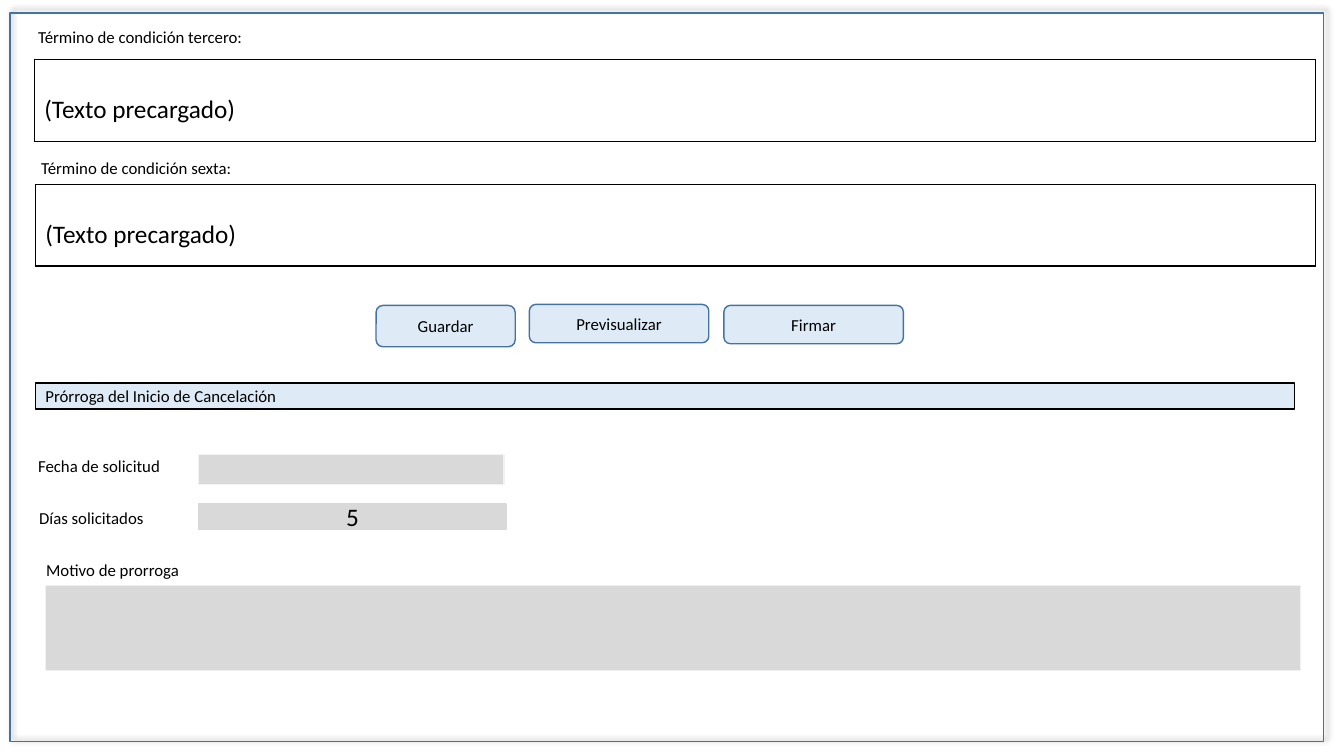
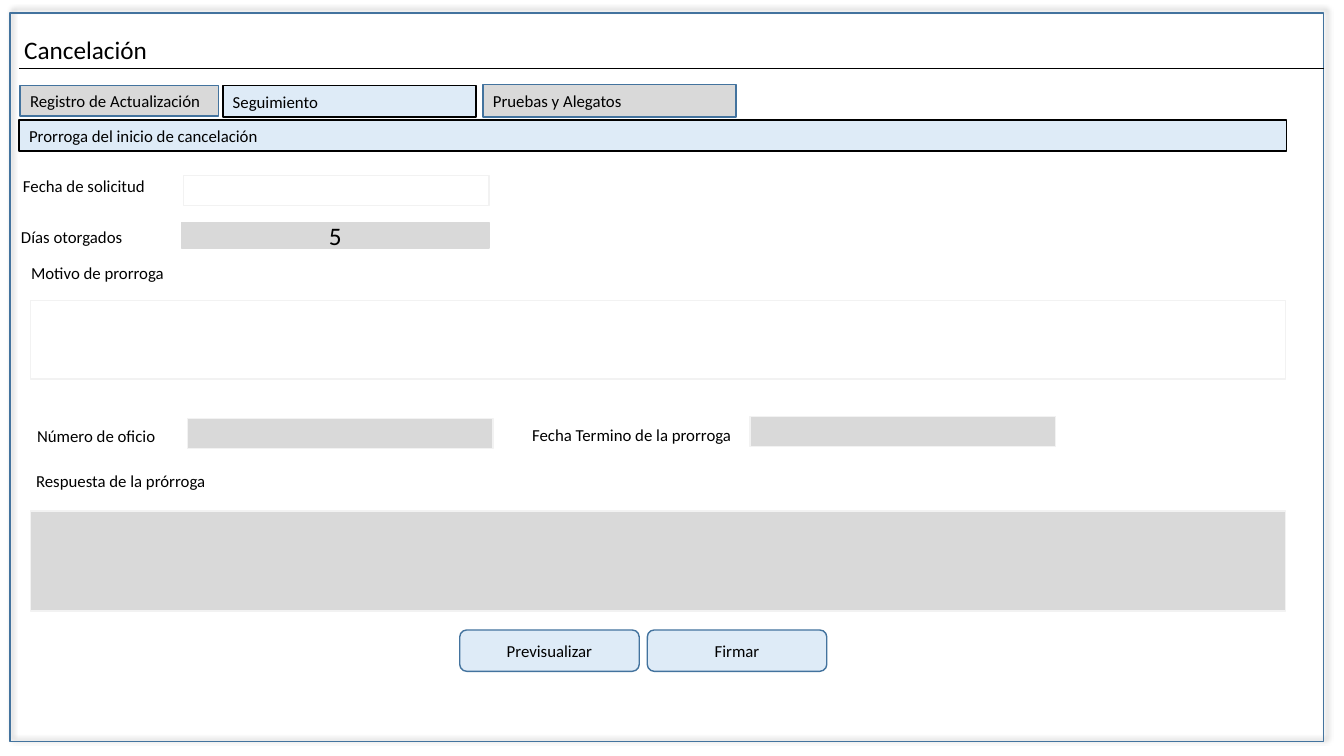
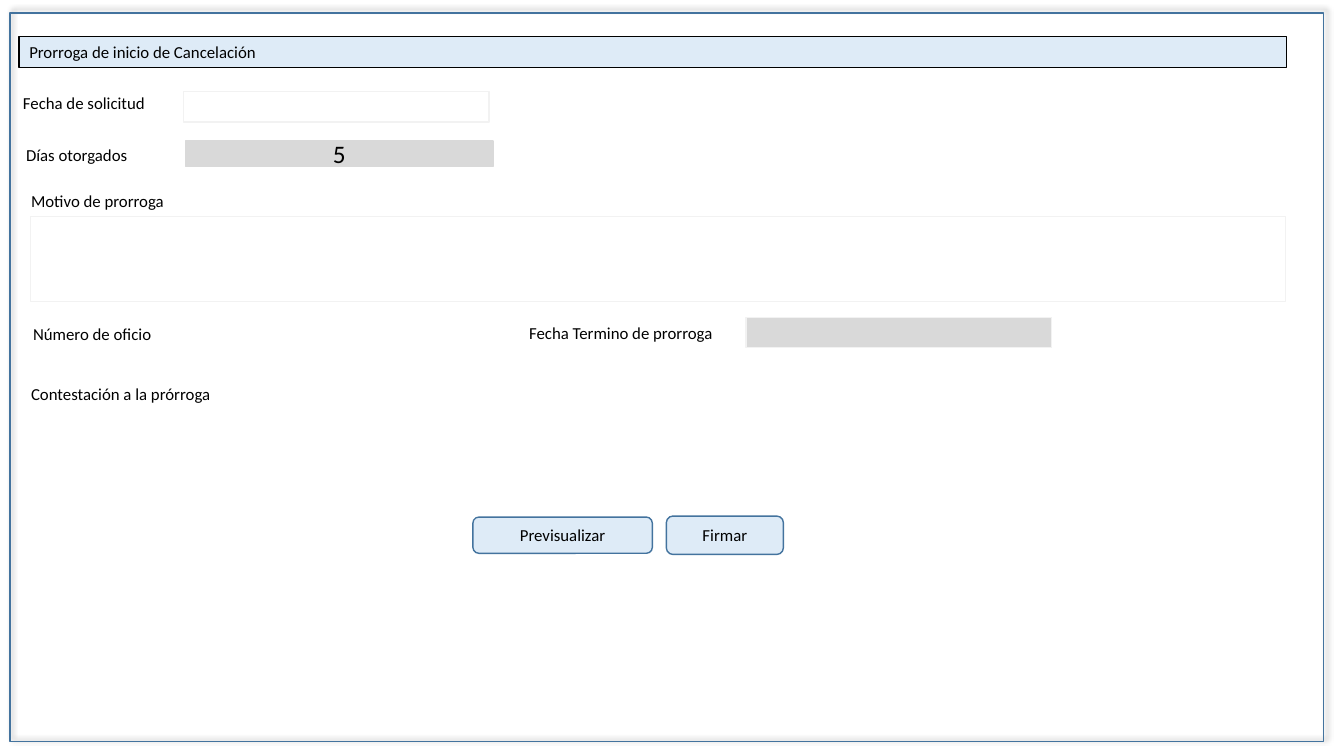
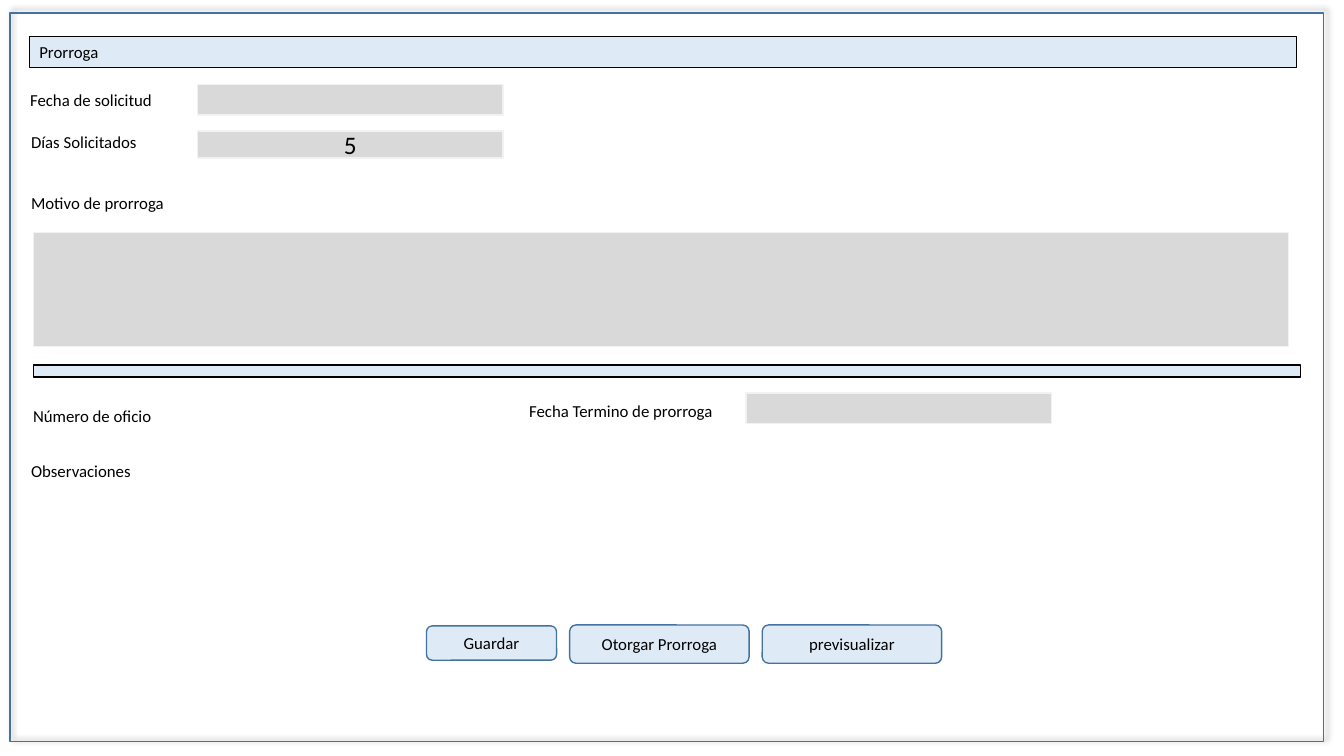
from dataclasses import dataclass

from lxml import etree
from pptx import Presentation
from pptx.dml.color import RGBColor
from pptx.enum.shapes import MSO_CONNECTOR, MSO_SHAPE
from pptx.enum.text import MSO_ANCHOR, MSO_AUTO_SIZE, PP_ALIGN
from pptx.oxml.ns import qn
from pptx.util import Inches, Pt

RECTANGLE = MSO_SHAPE.RECTANGLE
ROUNDED = MSO_SHAPE.ROUNDED_RECTANGLE
STRAIGHT = MSO_CONNECTOR.STRAIGHT
LEFT, CENTER = PP_ALIGN.LEFT, PP_ALIGN.CENTER
MIDDLE = MSO_ANCHOR.MIDDLE
NO_FIT, GROW = MSO_AUTO_SIZE.NONE, MSO_AUTO_SIZE.SHAPE_TO_FIT_TEXT
TITLE_ONLY = 5


@dataclass(frozen=True)
class Theme:
    font: str = "Calibri"
    small: int = 12
    large: int = 18
    ink: str = "000000"
    accent: str = "43739E"
    band: str = "DEEBF7"
    locked: str = "D9D9D9"
    editable: str = "FFFFFF"
    field_border: str = "F2F2F2"


THEME = Theme()


# Shared formatting
def color(value):
    return RGBColor.from_string(value)


def box(left, top, width, height):
    return [Inches(length) for length in (left, top, width, height)]


def write(text_frame, text, size=THEME.small, align=LEFT):
    text_frame.text = text
    paragraph = text_frame.paragraphs[0]
    paragraph.alignment = align
    paragraph.font.name = THEME.font
    paragraph.font.size = Pt(size)
    paragraph.font.color.rgb = color(THEME.ink)


def paint(shape, fill, border):
    shape.shadow.inherit = False
    if fill:
        shape.fill.solid()
        shape.fill.fore_color.rgb = color(fill)
    else:
        shape.fill.background()
    shape.line.color.rgb = color(border)
    shape.line.width = Pt(1)


def add_panel(slide, place, fill, border, text="", size=THEME.small,
              align=LEFT, kind=RECTANGLE):
    shape = slide.shapes.add_shape(kind, *box(*place))
    paint(shape, fill, border)
    if text:
        shape.text_frame.vertical_anchor = MIDDLE
        write(shape.text_frame, text, size, align)
    return shape


# Screen: slide with its shadowed frame
def add_screen(presentation):
    slide = presentation.slides.add_slide(presentation.slide_layouts[TITLE_ONLY])
    frame = add_panel(slide, (0.1, 0.13, 13.03, 7.23), None, THEME.accent)
    effects = frame._element.spPr.find(qn("a:effectLst"))
    shadow = etree.SubElement(
        effects, qn("a:outerShdw"), blurRad=str(Pt(4)), dist=str(Pt(3)),
        dir=str(315 * 60000), algn="bl", rotWithShape="0")
    shade = etree.SubElement(shadow, qn("a:srgbClr"), val=THEME.ink)
    etree.SubElement(shade, qn("a:alpha"), val="40000")
    return slide


def set_title(slide, text, place, size=THEME.small):
    title = slide.shapes.title
    title.left, title.top, title.width, title.height = box(*place)
    title.text_frame.auto_size = NO_FIT
    title.text_frame.vertical_anchor = MIDDLE
    write(title.text_frame, text, size)
    return title


def set_title_band(slide, text, left, top, width=12.57, height=0.31):
    title = set_title(slide, text, (left, top, width, height))
    paint(title, THEME.band, THEME.ink)


def add_band(slide, left, top, width=12.57, height=0.31, text=""):
    add_panel(slide, (left, top, width, height), THEME.band, THEME.ink, text)


# Form elements
def add_label(slide, text, left, top, width=3.37):
    label = slide.shapes.add_textbox(*box(left, top, width, 0.3))
    label.text_frame.word_wrap = True
    label.text_frame.auto_size = GROW
    write(label.text_frame, text)


def add_field(slide, left, top, width=3.03, height=0.3, fill=THEME.locked):
    add_panel(slide, (left, top, width, height), fill, THEME.field_border)


def add_days(slide, left, top, width=3.05, height=0.25, border=THEME.locked):
    add_panel(slide, (left, top, width, height), THEME.locked, border,
              "5", THEME.large, CENTER)


def add_button(slide, text, left, top, width=1.78, height=0.38):
    add_panel(slide, (left, top, width, height), THEME.band, THEME.accent,
              text, align=CENTER, kind=ROUNDED)


def add_tab(slide, text, left, top, width, height):
    add_panel(slide, (left, top, width, height), THEME.locked, THEME.accent, text)


def add_rule(slide, left, right, top):
    rule = slide.shapes.add_connector(
        STRAIGHT, Inches(left), Inches(top), Inches(right), Inches(top))
    rule.line.color.rgb = color(THEME.ink)
    rule.line.width = Pt(0.5)
    etree.SubElement(rule._element.spPr, qn("a:effectLst"))


def add_preloaded_text(slide, left, top, width):
    table = slide.shapes.add_table(1, 1, *box(left, top, width, 0.81)).table
    table.first_row = table.horz_banding = False
    cell = table.cell(0, 0)
    cell.margin_top = Inches(0.35)
    cell.fill.background()
    write(cell.text_frame, "(Texto precargado)", THEME.large)
    properties = cell._tc.get_or_add_tcPr()
    for index, side in enumerate("LRTB"):
        border = etree.Element(qn(f"a:ln{side}"), w=str(Pt(1)))
        fill = etree.SubElement(border, qn("a:solidFill"))
        etree.SubElement(fill, qn("a:srgbClr"), val=THEME.ink)
        properties.insert(index, border)


# Slides
def build_extension_request(presentation):
    slide = add_screen(presentation)
    add_label(slide, "Término de condición tercero:", 0.28, 0.22, 4)
    add_preloaded_text(slide, 0.34, 0.59, 12.71)
    add_label(slide, "Término de condición sexta:", 0.31, 1.52, 4)
    add_preloaded_text(slide, 0.35, 1.83, 12.7)
    add_button(slide, "Guardar", 3.73, 3.03, 1.38, 0.41)
    add_button(slide, "Previsualizar", 5.25, 3.02)
    add_button(slide, "Firmar", 7.18, 3.03)
    set_title_band(slide, "Prórroga del Inicio de Cancelación",
                   0.35, 3.8, 12.49, 0.26)
    add_label(slide, "Fecha de solicitud", 0.28, 4.47)
    add_field(slide, 1.97, 4.51)
    add_label(slide, "Días solicitados", 0.29, 4.99)
    add_days(slide, 1.97, 5)
    add_label(slide, "Motivo de prorroga", 0.36, 5.5, 4)
    add_field(slide, 0.45, 5.81, 12.45, 0.84)


def build_follow_up(presentation):
    slide = add_screen(presentation)
    set_title(slide, "Cancelación", (0.14, 0.29, 5.11, 0.4), THEME.large)
    add_rule(slide, 0.19, 13.13, 0.68)
    add_tab(slide, "Registro de Actualización", 0.2, 0.85, 1.97, 0.3)
    add_band(slide, 2.21, 0.85, 2.51, text="Seguimiento")
    add_tab(slide, "Pruebas y Alegatos", 4.79, 0.84, 2.51, 0.32)
    add_band(slide, 0.19, 1.19, text="Prorroga del inicio de cancelación")
    add_label(slide, "Fecha de solicitud", 0.13, 1.69)
    add_field(slide, 1.82, 1.74, fill=THEME.editable)
    add_label(slide, "Días otorgados", 0.11, 2.2)
    add_days(slide, 1.8, 2.21)
    add_label(slide, "Motivo de prorroga", 0.21, 2.56, 4)
    add_field(slide, 0.3, 2.98, 12.45, 0.78, THEME.editable)
    add_label(slide, "Número de oficio", 0.27, 4.17)
    add_field(slide, 1.86, 4.15)
    add_label(slide, "Fecha Termino de la prorroga", 5.18, 4.16)
    add_field(slide, 7.44, 4.13)
    add_label(slide, "Respuesta de la prórroga", 0.26, 4.62, 4)
    add_field(slide, 0.3, 5.07, 12.45, 0.99)
    add_button(slide, "Previsualizar", 4.56, 6.25, height=0.41)
    add_button(slide, "Firmar", 6.42, 6.25, height=0.41)


def build_reply(presentation):
    slide = add_screen(presentation)
    set_title_band(slide, "Prorroga de inicio de Cancelación", 0.19, 0.36)
    add_label(slide, "Fecha de solicitud", 0.13, 0.87)
    add_field(slide, 1.82, 0.91, fill=THEME.editable)
    add_label(slide, "Días otorgados", 0.16, 1.39)
    add_days(slide, 1.84, 1.4)
    add_label(slide, "Motivo de prorroga", 0.21, 1.84, 4)
    add_field(slide, 0.3, 2.15, 12.45, 0.84, THEME.editable)
    add_label(slide, "Número de oficio", 0.23, 3.16)
    add_label(slide, "Fecha Termino de prorroga", 5.15, 3.15)
    add_field(slide, 7.4, 3.15)
    add_label(slide, "Contestación a la prórroga", 0.21, 3.76, 4)
    add_button(slide, "Previsualizar", 4.69, 5.13, height=0.36)
    add_button(slide, "Firmar", 6.61, 5.12, 1.16)


def build_grant(presentation):
    slide = add_screen(presentation)
    set_title_band(slide, "Prorroga", 0.29, 0.36)
    add_label(slide, "Fecha de solicitud", 0.2, 0.84)
    add_field(slide, 1.96, 0.84)
    add_label(slide, "Días Solicitados", 0.21, 1.26)
    add_days(slide, 1.96, 1.3, 3.03, 0.27, THEME.field_border)
    add_label(slide, "Motivo de prorroga", 0.21, 1.86, 4)
    add_field(slide, 0.33, 2.31, 12.45, 1.13)
    add_band(slide, 0.33, 3.62, height=0.12)
    add_label(slide, "Número de oficio", 0.23, 3.98)
    add_label(slide, "Fecha Termino de prorroga", 5.15, 3.93)
    add_field(slide, 7.4, 3.9)
    add_label(slide, "Observaciones", 0.21, 4.52, 4)
    add_button(slide, "Guardar", 4.23, 6.21, 1.29, 0.34)
    add_button(slide, "Otorgar Prorroga", 5.65, 6.2)
    add_button(slide, "previsualizar", 7.56, 6.2)


def main():
    presentation = Presentation()
    presentation.slide_width = Inches(13.33)
    presentation.slide_height = Inches(7.5)
    build_extension_request(presentation)
    build_follow_up(presentation)
    build_reply(presentation)
    build_grant(presentation)
    presentation.save("out.pptx")


main()
